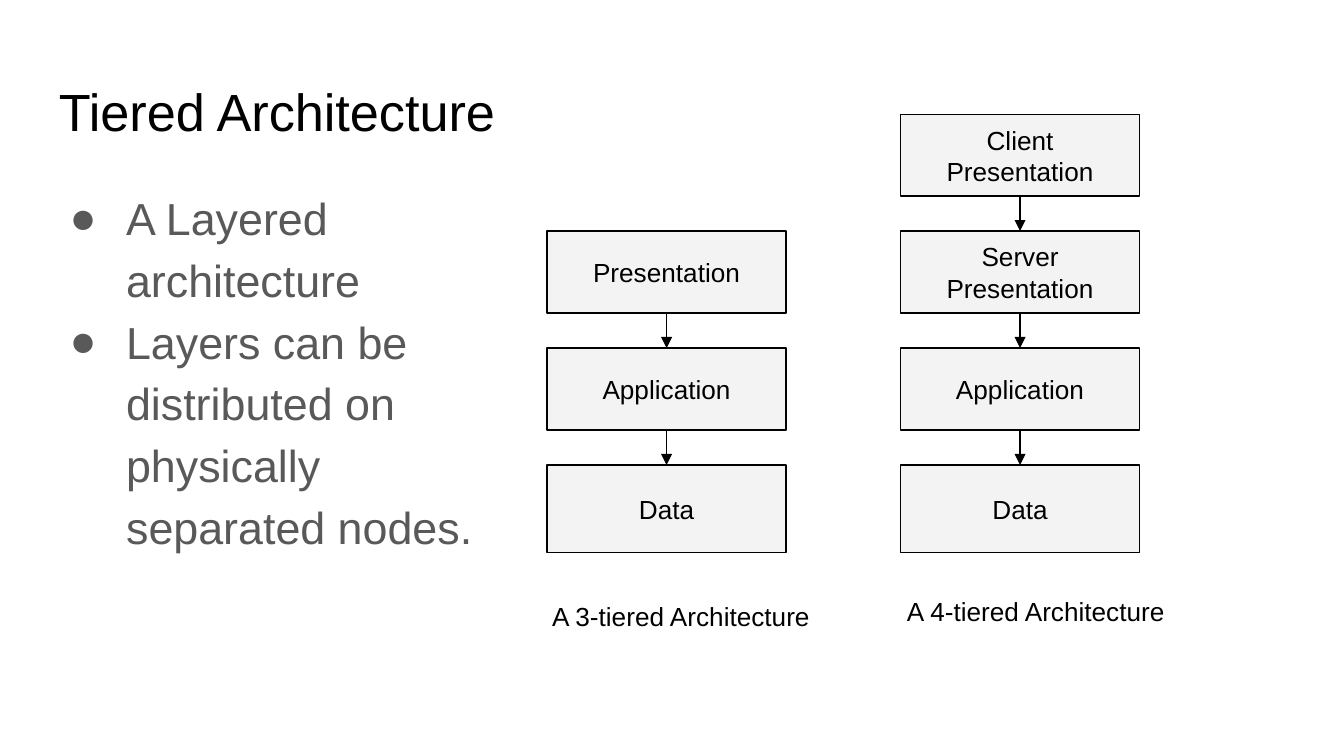
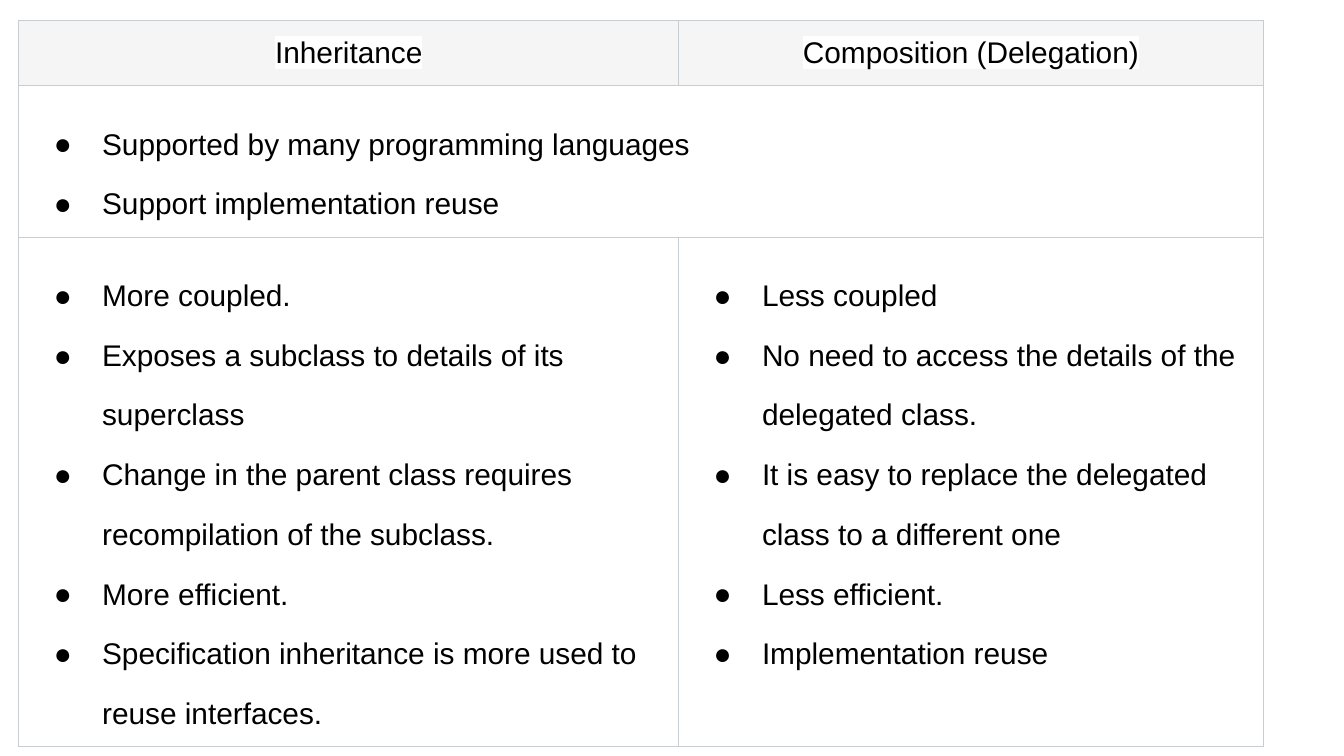
from lxml import etree
from pptx import Presentation
from pptx.dml.color import RGBColor
from pptx.enum import shapes, text
from pptx.oxml.ns import qn
from pptx.util import Inches, Pt

# Content
TITLE = "Tiered Architecture"
POINTS = [
    "A Layered architecture",
    "Layers can be distributed on physically separated nodes.",
]
# Tiers run from top to bottom; every stack ends on the same bottom row
STACKS = [
    {"left": 4.07, "tiers": ["Presentation", "Application", "Data"],
     "caption": "A 3-tiered Architecture", "caption_at": (4.01, 4.37)},
    {"left": 6.7, "tiers": ["Client Presentation", "Server Presentation", "Application", "Data"],
     "caption": "A 4-tiered Architecture", "caption_at": (6.65, 4.33)},
]
HEADINGS = ["Inheritance", "Composition (Delegation)"]
SHARED = [
    "Supported by many programming languages",
    "Support implementation reuse",
]
DIFFERENCES = [
    [
        "More coupled.",
        "Exposes a subclass to details of its superclass",
        "Change in the parent class requires recompilation of the subclass.",
        "More efficient.",
        "Specification inheritance is more used to reuse interfaces.",
    ],
    [
        "Less coupled",
        "No need to access the details of the delegated class.",
        "It is easy to replace the delegated class to a different one",
        "Less efficient.",
        "Implementation reuse",
    ],
]

# Shared style
FONT = "Arial"
COLORS = {"ink": "000000", "body": "595959", "tier": "F3F3F3",
          "heading": "F5F5F5", "paper": "FFFFFF", "grid": "C7CDD1"}
PAGE_WIDTH = Inches(10)
PAGE_HEIGHT = PAGE_WIDTH * 9 // 16
TIER_WIDTH, TIER_HEIGHT, DATA_HEIGHT = 1.78, 0.61, 0.65
BOTTOM_TIER, TIER_STEP = 3.46, 0.87
COLUMNS, ROWS = [4.91, 4.35], [0.33, 0.68, 2.35]


def rgb(name):
    return RGBColor.from_string(COLORS[name])


def add_color(parent, tag, name):
    node = etree.SubElement(parent, qn(tag))
    etree.SubElement(node, qn("a:srgbClr"), val=COLORS[name])
    return node


def set_margins(holder, inches):
    for side in ("left", "top", "right", "bottom"):
        setattr(holder, f"margin_{side}", Inches(inches))


def write(frame, lines, size, color="ink", align=None):
    frame.word_wrap = True
    frame.text = "\n".join(lines)
    for para in frame.paragraphs:
        para.alignment = align
        for span in para.runs:
            span.font.size, span.font.name = Pt(size), FONT
            span.font.color.rgb = rgb(color)


def add_bullets(frame, color, hanging, spacing):
    for para in frame.paragraphs:
        para.line_spacing = spacing
        props = para._p.get_or_add_pPr()
        props.set("marL", str(Inches(0.5)))
        props.set("indent", str(-Inches(hanging)))
        add_color(props, "a:buClr", color)
        etree.SubElement(props, qn("a:buFont"), typeface=FONT)
        etree.SubElement(props, qn("a:buChar"), char="●")


def add_text(page, at, lines, size, color="ink"):
    box = page.shapes.add_textbox(*map(Inches, at))
    set_margins(box.text_frame, 0.1)
    write(box.text_frame, lines, size, color)
    return box.text_frame


def add_tier(page, label, left, top, height):
    box = page.shapes.add_shape(shapes.MSO_SHAPE.RECTANGLE, Inches(left), Inches(top),
                                Inches(TIER_WIDTH), Inches(height))
    box.shadow.inherit = False
    box.fill.solid()
    box.fill.fore_color.rgb = rgb("tier")
    box.line.color.rgb, box.line.width = rgb("ink"), Pt(0.75)
    set_margins(box.text_frame, 0.1)
    write(box.text_frame, [label], 14, align=text.PP_ALIGN.CENTER)
    box.text_frame.vertical_anchor = text.MSO_ANCHOR.MIDDLE
    return box


def add_arrow(page, upper, lower):
    arrow = page.shapes.add_connector(shapes.MSO_CONNECTOR.STRAIGHT, 0, 0, 0, 0)
    arrow.begin_connect(upper, 2)
    arrow.end_connect(lower, 0)
    arrow.line.color.rgb, arrow.line.width = rgb("ink"), Pt(0.75)
    props = arrow.element.spPr
    etree.SubElement(props.find(qn("a:ln")), qn("a:tailEnd"), type="triangle")
    etree.SubElement(props, qn("a:effectLst"))


def style_cell(cell, fill):
    set_margins(cell, 0.12)
    cell.fill.solid()
    cell.fill.fore_color.rgb = rgb(fill)
    props = cell._tc.get_or_add_tcPr()
    for place, side in enumerate("LRTB"):
        edge = etree.Element(qn(f"a:ln{side}"), w=str(Pt(0.75)))
        add_color(edge, "a:solidFill", "grid")
        props.insert(place, edge)


def highlight(frame):
    for para in frame.paragraphs:
        for span in para.runs:
            props = span._r.get_or_add_rPr()
            mark = add_color(props, "a:highlight", "paper")
            props.find(qn("a:latin")).addprevious(mark)


def build_tiers(page):
    add_text(page, (0.34, 0.49, 9.32, 0.63), [TITLE], 28)
    points = add_text(page, (0.34, 1.26, 3.36, 3.74), POINTS, 24, "body")
    add_bullets(points, "body", 0.42, 1.15)
    for stack in STACKS:
        last = len(stack["tiers"]) - 1
        boxes = [
            add_tier(page, label, stack["left"], BOTTOM_TIER - (last - index) * TIER_STEP,
                     DATA_HEIGHT if index == last else TIER_HEIGHT)
            for index, label in enumerate(stack["tiers"])
        ]
        for upper, lower in zip(boxes, boxes[1:]):
            add_arrow(page, upper, lower)
        add_text(page, (*stack["caption_at"], 2.85, 0.61), [stack["caption"]], 14)


def build_comparison(page):
    table = page.shapes.add_table(len(ROWS), len(COLUMNS), Inches(0.14), Inches(0.15),
                                  Inches(sum(COLUMNS)), Inches(sum(ROWS))).table
    table.first_row = table.horz_banding = False
    for column, width in zip(table.columns, COLUMNS):
        column.width = Inches(width)
    for row, height in zip(table.rows, ROWS):
        row.height = Inches(height)
    table.cell(1, 0).merge(table.cell(1, 1))

    grid = [[[heading] for heading in HEADINGS], [SHARED, None], DIFFERENCES]
    for row, contents in enumerate(grid):
        for column, lines in enumerate(contents):
            cell = table.cell(row, column)
            style_cell(cell, "paper" if row else "heading")
            if lines is None:
                continue
            write(cell.text_frame, lines, 16, align=None if row else text.PP_ALIGN.CENTER)
            highlight(cell.text_frame)
            if row:
                add_bullets(cell.text_frame, "ink", 0.36, 1.8)


def main():
    deck = Presentation()
    deck.slide_width, deck.slide_height = PAGE_WIDTH, PAGE_HEIGHT
    for build in (build_tiers, build_comparison):
        page = deck.slides.add_slide(deck.slide_layouts[6])
        page.background.fill.solid()
        page.background.fill.fore_color.rgb = rgb("paper")
        build(page)
    deck.save("out.pptx")


if __name__ == "__main__":
    main()
